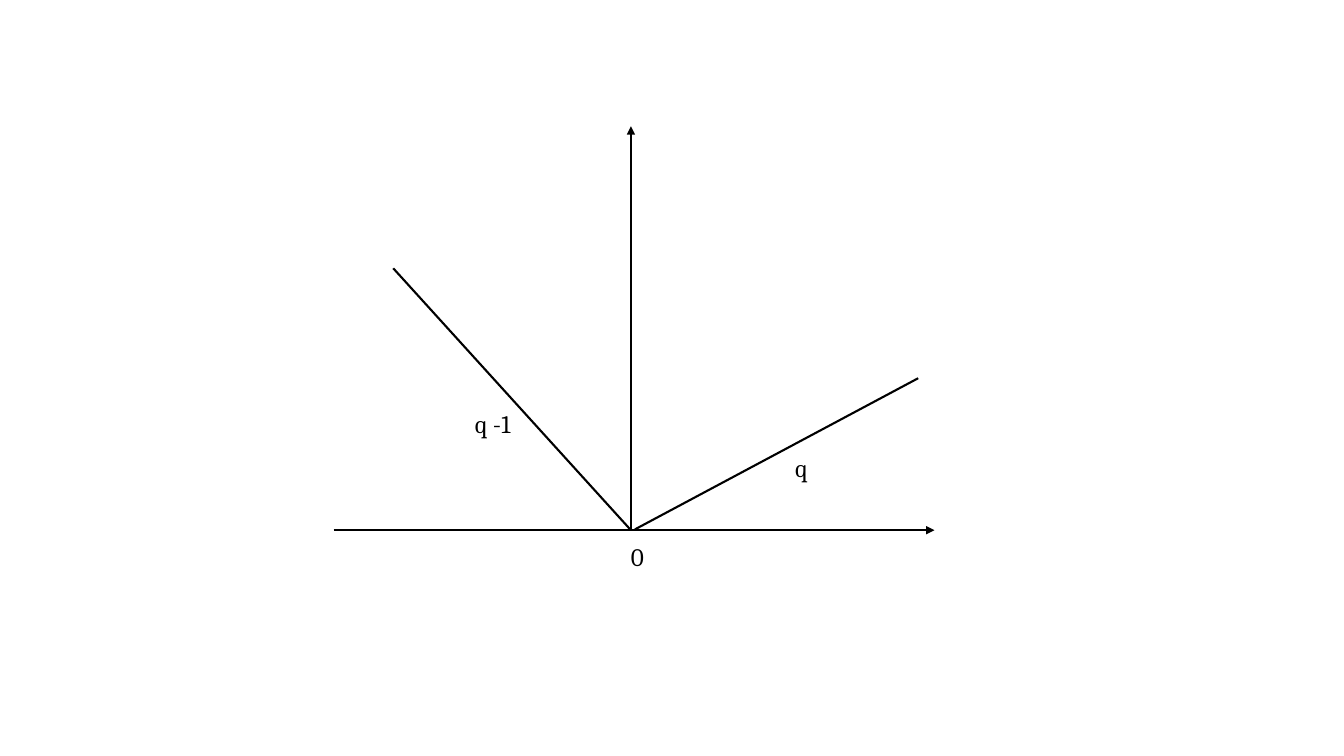
from dataclasses import dataclass
from lxml.etree import SubElement as Sub
from pptx import Presentation as Deck
from pptx.dml.color import RGBColor as Color
from pptx.enum.shapes import MSO_CONNECTOR as Link
from pptx.enum.text import MSO_AUTO_SIZE as Fit, PP_ALIGN as Align
from pptx.oxml.ns import qn
from pptx.util import Cm, Pt


@dataclass(frozen=True)
class Theme:
    font: str = "Cambria"
    size: float = 18
    ink: str = "000000"
    line: float = 1.5


class Graph:
    def __init__(self, slide, theme):
        self.slide = slide
        self.theme = theme

    def ray(self, start, end, arrow=False):
        ends = [Cm(n) for n in (*start, *end)]
        ray = self.slide.shapes.add_connector(Link.STRAIGHT, *ends)
        ray.line.color.rgb = Color.from_string(self.theme.ink)
        ray.line.width = Pt(self.theme.line)
        props = ray._element.spPr
        if arrow:
            Sub(props.find(qn("a:ln")), qn("a:tailEnd"), type="triangle")
        Sub(props, qn("a:effectLst"))

    def letter(self, box, text, wrap):
        frame = box.text_frame
        frame.text = text
        frame.word_wrap = wrap
        frame.auto_size = Fit.SHAPE_TO_FIT_TEXT
        para = frame.paragraphs[0]
        font = para.runs[0].font
        font.name = self.theme.font
        font.size = Pt(self.theme.size)
        font.color.rgb = Color.from_string(self.theme.ink)
        return para

    def label(self, text, area, wrap=True):
        box = self.slide.shapes.add_textbox(*[Cm(n) for n in area])
        self.letter(box, text, wrap)

    def caption(self, text, area):
        box = self.slide.placeholders[1]
        box.left, box.top, box.width, box.height = [Cm(n) for n in area]
        para = self.letter(box, text, True)
        para.alignment = Align.CENTER
        para.line_spacing = 0.9
        para.space_before = Pt(0)


def main():
    deck = Deck()
    deck.slide_width, deck.slide_height = Cm(33.87), Cm(19.05)
    slide = deck.slides.add_slide(deck.slide_layouts[0])
    title = slide.shapes.title._element
    title.getparent().remove(title)

    graph = Graph(slide, Theme())
    zero = (15.9, 13.36)
    graph.ray((8.41, zero[1]), (23.55, zero[1]), arrow=True)
    graph.ray(zero, (zero[0], 3.18), arrow=True)
    graph.ray(zero, (9.91, 6.76))
    graph.ray((16, 13.34), (23.14, 9.53))
    graph.label("0", (15.65, 13.51, 1.02, 1.02))
    graph.label("q", (19.79, 11.28, 0.86, 1.02), wrap=False)
    graph.caption("q -1", (9.42, 10.26, 5.99, 0.94))
    deck.save("out.pptx")


if __name__ == "__main__":
    main()
